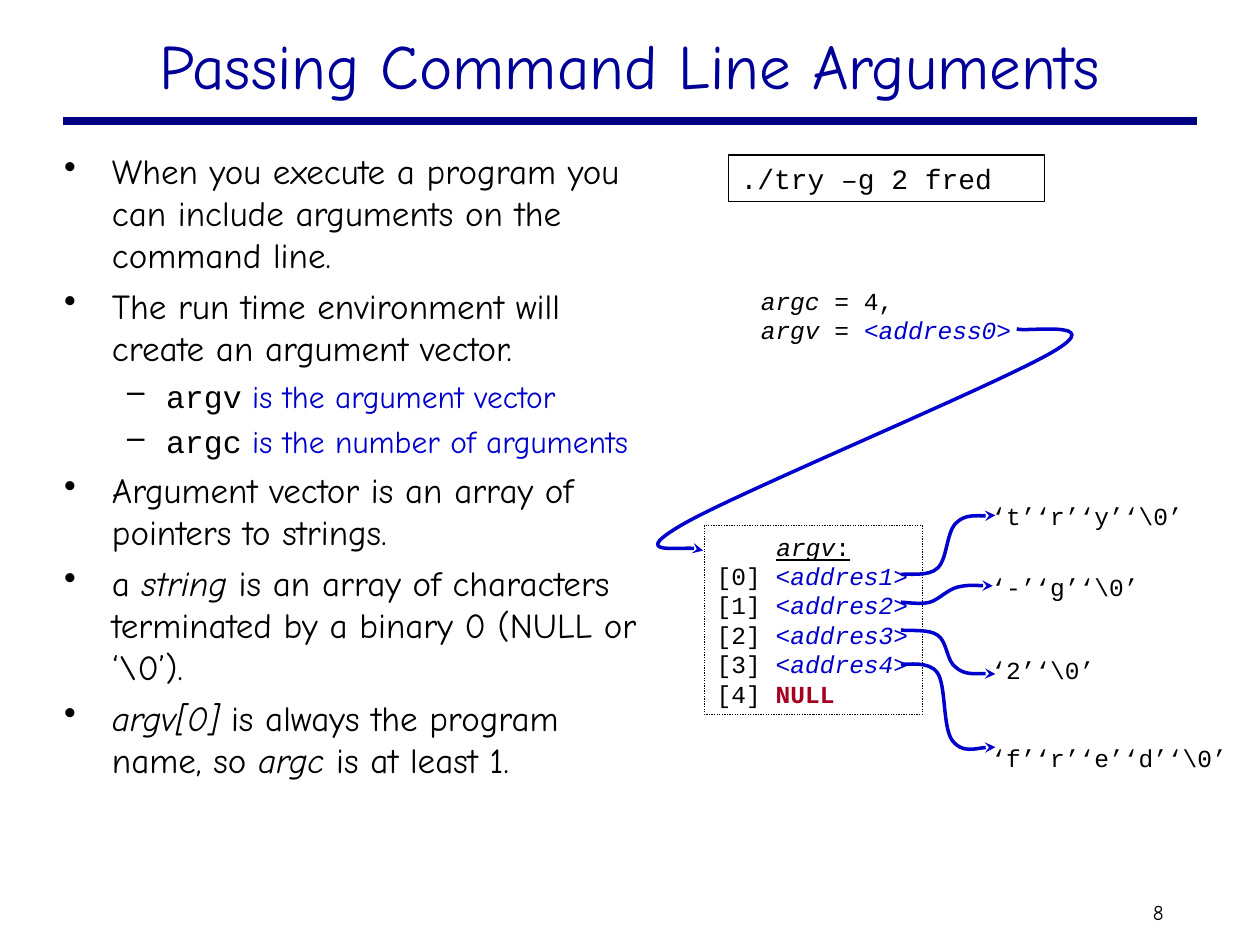
import dataclasses

import lxml.etree
import pptx
import pptx.dml.color
import pptx.enum.dml
import pptx.enum.shapes
import pptx.enum.text
import pptx.oxml.ns
import pptx.util

EMU_PER_PX = 9144  # 100 px to the inch
ALIGN = pptx.enum.text.PP_ALIGN
ANCHOR = pptx.enum.text.MSO_ANCHOR
AUTO_SIZE = pptx.enum.text.MSO_AUTO_SIZE
DASH = pptx.enum.dml.MSO_LINE


@dataclasses.dataclass(frozen=True)
class Theme:
    prose: str = "Comic Neue"
    code: str = "Courier New"
    ink: str = "000000"
    rule: str = "000080"
    title: str = "000099"
    accent: str = "0000CC"
    null: str = "A50021"
    title_size: int = 36
    body_size: int = 20
    detail_size: int = 18
    command_size: int = 16
    code_size: int = 14
    number_size: int = 12


THEME = Theme()
ITALIC = {"italic": True}
ADDRESS = {"italic": True, "color": THEME.accent}
CODE = {"font": THEME.code}
ACCENT = {"color": THEME.accent}


def px(length):
    return pptx.util.Emu(length * EMU_PER_PX)


def rgb(value):
    return pptx.dml.color.RGBColor.from_string(value)


def add_xml(parent, tag, **attributes):
    return lxml.etree.SubElement(parent, pptx.oxml.ns.qn(tag), attributes)


def style_line(line, color, width, dash=None):
    line.color.rgb = rgb(color)
    line.width = pptx.util.Pt(width)
    if dash is not None:
        line.dash_style = dash


def write_text(paragraph, runs, *, size, font=THEME.prose, color=THEME.ink,
               align=ALIGN.LEFT):
    """Write (text, overrides) runs; overrides replace the paragraph's format."""
    paragraph.alignment = align
    base = {"size": size, "font": font, "color": color,
            "bold": False, "italic": False, "underline": False}
    for text, overrides in runs:
        look = base | overrides
        run = paragraph.add_run()
        run.text = text
        run.font.size = pptx.util.Pt(look["size"])
        run.font.name = look["font"]
        run.font.color.rgb = rgb(look["color"])
        run.font.bold = look["bold"]
        run.font.italic = look["italic"]
        run.font.underline = look["underline"]


def frame_paragraphs(frame, count):
    return [frame.paragraphs[0]] + [frame.add_paragraph() for _ in range(count - 1)]


def prepare_frame(shape, wrap=True, anchor=ANCHOR.TOP, grow=False, side=10):
    frame = shape.text_frame
    frame.word_wrap = wrap
    frame.vertical_anchor = anchor
    frame.auto_size = AUTO_SIZE.SHAPE_TO_FIT_TEXT if grow else AUTO_SIZE.NONE
    frame.margin_left = frame.margin_right = px(side)
    frame.margin_top = frame.margin_bottom = px(5)
    return frame


def add_label(slide, box, runs, *, wrap=True, anchor=ANCHOR.TOP, grow=False,
              side=10, **look):
    label = slide.shapes.add_textbox(*map(px, box))
    frame = prepare_frame(label, wrap, anchor, grow, side)
    write_text(frame.paragraphs[0], runs, **look)


def add_code_lines(frame, lines, **look):
    for paragraph, runs in zip(frame_paragraphs(frame, len(lines)), lines):
        write_text(paragraph, runs, font=THEME.code, **look)


def add_outlined_box(slide, box, dash=None):
    outline = slide.shapes.add_shape(
        pptx.enum.shapes.MSO_SHAPE.RECTANGLE, *map(px, box))
    outline.shadow.inherit = False
    outline.fill.background()
    style_line(outline.line, THEME.ink, 0.75, dash)
    return prepare_frame(outline, grow=True)


def add_bullets(slide, box, items):
    """Items are (level, runs) pairs."""
    levels = [("•", 38, -38, 5, THEME.body_size),
              ("–", 81, -31, 4.5, THEME.detail_size)]
    frame = prepare_frame(slide.shapes.add_textbox(*map(px, box)))
    for paragraph, (level, runs) in zip(frame_paragraphs(frame, len(items)), items):
        mark, margin, indent, gap, size = levels[level]
        write_text(paragraph, runs, size=size)
        paragraph.level = level
        paragraph.space_before = pptx.util.Pt(gap)
        properties = paragraph._p.get_or_add_pPr()
        properties.set("marL", str(px(margin)))
        properties.set("indent", str(px(indent)))
        add_xml(add_xml(properties, "a:buClr"), "a:srgbClr", val=THEME.ink)
        add_xml(properties, "a:buChar", char=mark)


def add_rule(slide, left, right, y):
    rule = slide.shapes.add_connector(
        pptx.enum.shapes.MSO_CONNECTOR.STRAIGHT, px(left), px(y), px(right), px(y))
    style_line(rule.line, THEME.rule, 4.5)
    add_xml(rule._element.spPr, "a:effectLst")


def add_curved_arrow(slide, start, *points):
    """Draw Bézier segments; every three points are two handles and an end."""
    builder = slide.shapes.build_freeform(*start, scale=EMU_PER_PX)
    builder.add_line_segments(points, close=False)
    arrow = builder.convert_to_shape()
    arrow.shadow.inherit = False
    arrow.fill.background()
    style_line(arrow.line, THEME.accent, 2)
    properties = arrow._element.spPr
    add_xml(properties.find(pptx.oxml.ns.qn("a:ln")), "a:tailEnd", type="stealth")
    steps = list(properties.iter(pptx.oxml.ns.qn("a:lnTo")))
    outline = steps[0].getparent()
    for first in range(0, len(steps), 3):
        curve = add_xml(outline, "a:cubicBezTo")
        for step in steps[first:first + 3]:
            curve.append(step[0])
            outline.remove(step)


def add_explanation(slide):
    add_bullets(slide, (41, 114, 479, 596), [
        (0, [("When you execute a program you can include arguments "
              "on the command line.", {})]),
        (0, [("The run time environment will create an argument vector.", {})]),
        (1, [("argv", CODE), (" is the argument vector", ACCENT)]),
        (1, [("argc", CODE), (" is the number of arguments", ACCENT)]),
        (0, [("Argument vector is an array of pointers to strings.", {})]),
        (0, [("a ", {}), ("string", ITALIC),
             (" is an array of characters terminated by a binary 0 "
              "(NULL or ‘\\0’).", {})]),
        (0, [("argv[0]", ITALIC), (" is always the program name, so ", {}),
             ("argc", ITALIC), (" is at least 1.", {})]),
    ])


def add_memory_diagram(slide):
    command = add_outlined_box(slide, (578, 123, 251, 37))
    add_code_lines(command, [[("./try –g 2 fred", {})]], size=THEME.command_size)

    main_arguments = slide.shapes.add_textbox(*map(px, (594, 222, 220, 57)))
    add_code_lines(prepare_frame(main_arguments, grow=True), [
        [("argc", ITALIC), (" = 4,", {})],
        [("argv", ITALIC), (" = ", {}), ("<address0>", ADDRESS)],
    ], size=THEME.code_size)

    vector = add_outlined_box(slide, (559, 417, 173, 150), DASH.ROUND_DOT)
    heading = [("argv", {"italic": True, "underline": True}),
               (":", {"underline": True})]
    entries = [[(f"[{i}] ", {}), (f"<addres{i + 1}>", ADDRESS)] for i in range(4)]
    end = [("[4] ", {}), ("NULL", {"bold": True, "color": THEME.null})]
    add_code_lines(vector, [heading, *entries, end], size=THEME.code_size)
    vector.paragraphs[0].alignment = ALIGN.CENTER

    strings = [("try", 393, 172), ("-g", 449, 137), ("2", 515, 102), ("fred", 585, 207)]
    for word, top, width in strings:
        quoted = "".join(f"‘{character}’" for character in [*word, "\\0"])
        add_label(slide, (777, top, width, 34), [(quoted, {})], wrap=False,
                  grow=True, size=THEME.code_size, font=THEME.code)

    pointers = [
        [(715, 456), (720, 455), (737, 458), (744, 451),
         (752, 444), (751, 422), (759, 415), (766, 408), (784, 410), (790, 409)],
        [(715, 478), (719, 478), (730, 480), (738, 478),
         (745, 476), (752, 468), (760, 466), (768, 464), (782, 465), (788, 465)],
        [(715, 500), (720, 501), (737, 499), (744, 504),
         (752, 509), (751, 525), (759, 530), (766, 536), (784, 534), (790, 535)],
        [(715, 527), (720, 528), (737, 524), (744, 534),
         (751, 544), (748, 578), (756, 588), (764, 598), (783, 592), (790, 593)],
        [(807, 261), (812, 264), (880, 253), (836, 279),
         (792, 305), (590, 389), (544, 415), (498, 441), (555, 432), (558, 437)],
    ]
    for pointer in pointers:
        add_curved_arrow(slide, *pointer)


def main():
    deck = pptx.Presentation()
    deck.slide_width, deck.slide_height = px(1000), px(750)
    slide = deck.slides.add_slide(deck.slide_layouts[6])
    add_rule(slide, 50, 950, 96)
    add_label(slide, (910, 709, 47, 30), [("8", {})], anchor=ANCHOR.MIDDLE,
              side=5, size=THEME.number_size)
    add_label(slide, (75, 8, 850, 86), [("Passing Command Line Arguments", {})],
              anchor=ANCHOR.MIDDLE, size=THEME.title_size, color=THEME.title,
              align=ALIGN.CENTER)
    add_explanation(slide)
    add_memory_diagram(slide)
    deck.save("out.pptx")


if __name__ == "__main__":
    main()
